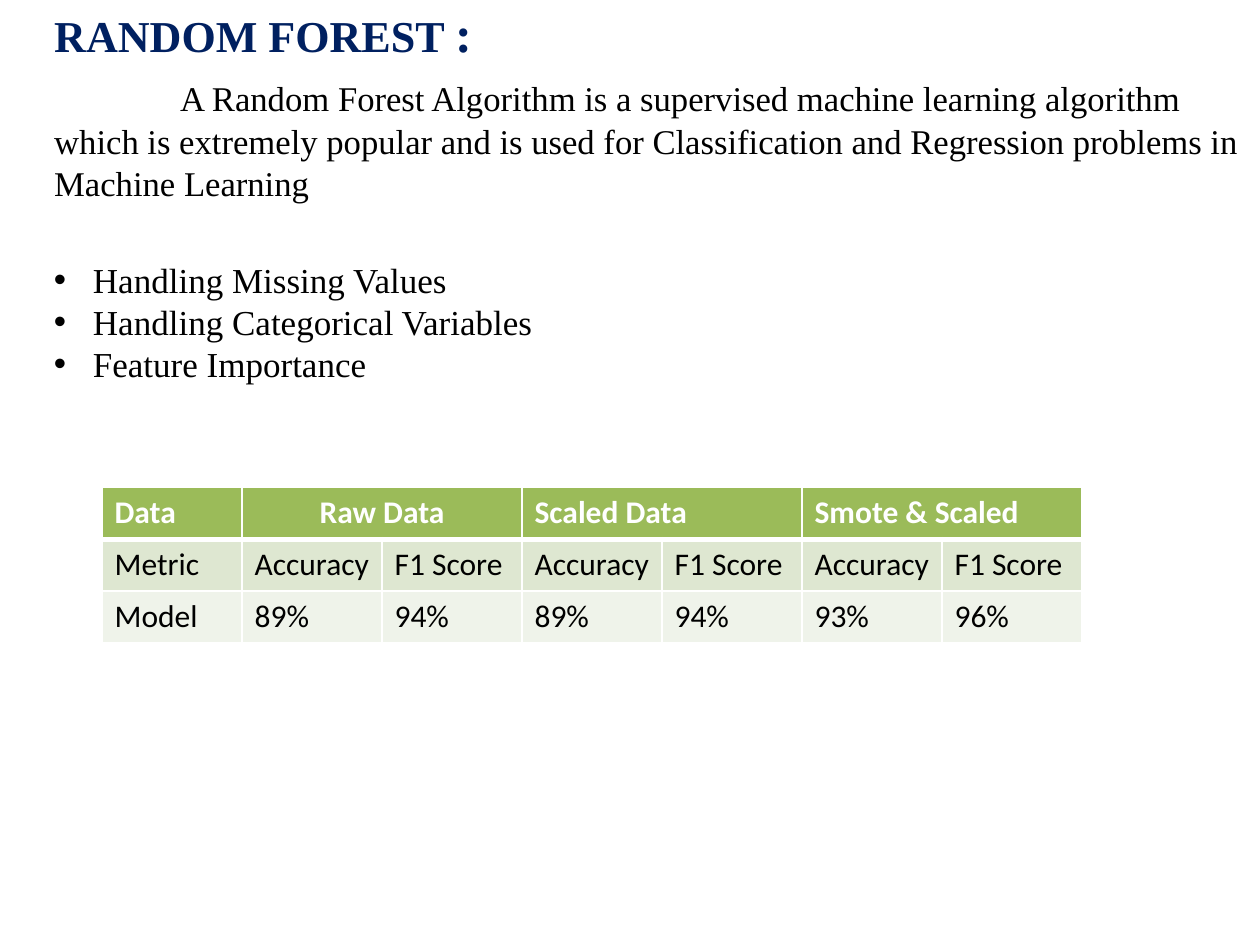
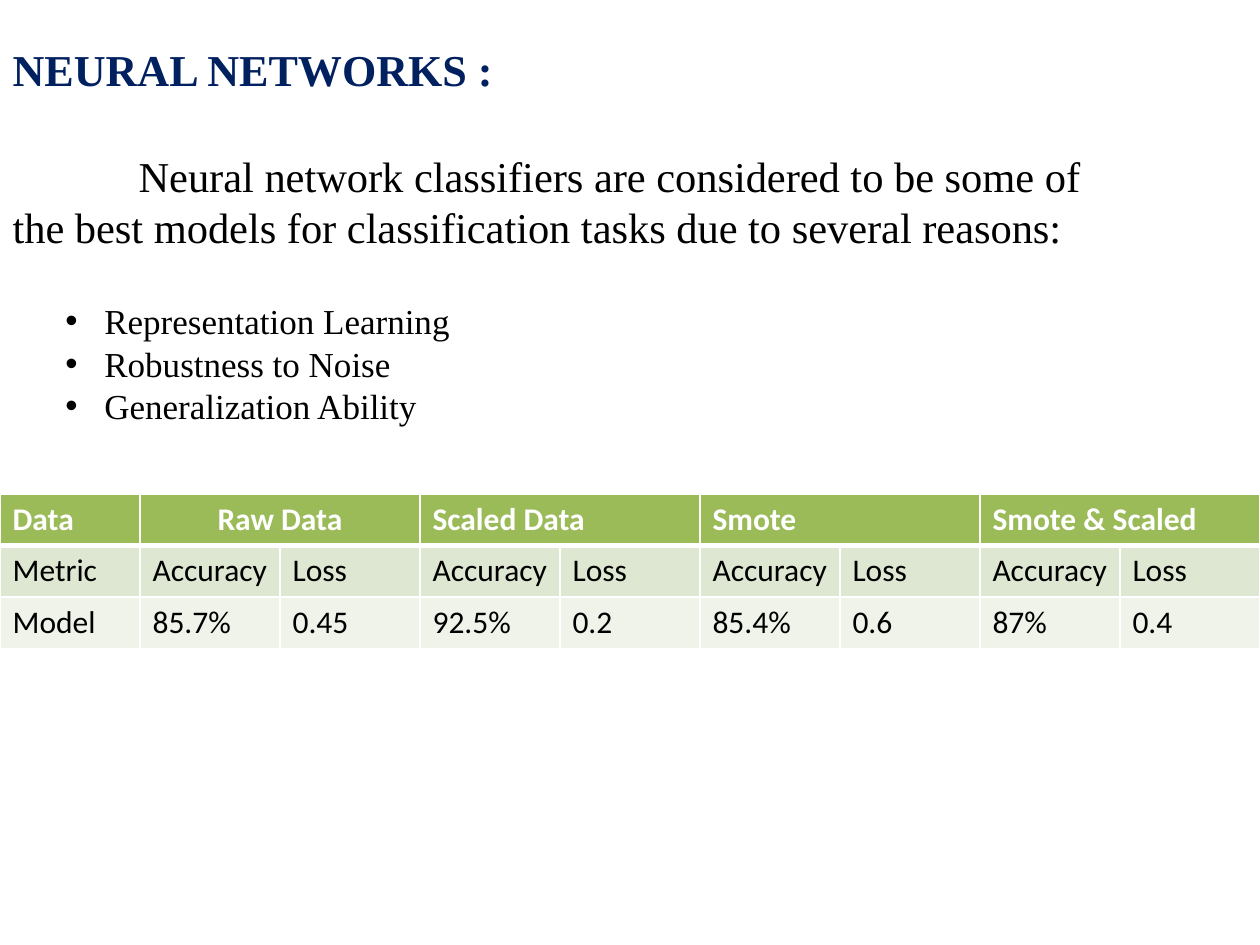
from dataclasses import dataclass

from lxml import etree
from pptx import Presentation
from pptx.dml.color import RGBColor
from pptx.enum.text import MSO_ANCHOR, MSO_AUTO_SIZE, PP_ALIGN
from pptx.oxml.ns import qn
from pptx.util import Inches, Pt

LEFT, CENTER = PP_ALIGN.LEFT, PP_ALIGN.CENTER
MIDDLE = MSO_ANCHOR.MIDDLE
NO_AUTOFIT = MSO_AUTO_SIZE.NONE

SERIF, SANS = "Times New Roman", "Calibri"
NAVY, BLACK, WHITE = "002060", "000000", "FFFFFF"
HEADER_FILL = "9BBB59"
BODY_FILLS = ("DEE7D1", "EFF3EA")
COL_W = 10 / 9
ROW_H = 0.41
TITLE_ONLY = 5


@dataclass
class Box:
    left: float
    top: float
    width: float
    height: float

    def emu(self) -> tuple:
        return tuple(Inches(v) for v in (self.left, self.top, self.width, self.height))


@dataclass
class Line:
    """A paragraph of the title block, with sizes and spacing in points."""
    text: str
    size: float
    spacing: float
    before: float = 0
    indent: float = 0
    color: str = BLACK
    bold: bool = False


@dataclass
class ModelSlide:
    title_box: Box
    title: list[Line]
    colon_size: float
    bullet_box: Box
    bullets: list[str]
    wrap: bool
    table_left: float
    table_top: float
    datasets: list[str]
    metrics: list[str]
    values: list[str]


MODELS = [
    ModelSlide(
        title_box=Box(0.33, 0, 9.65, 1.67),
        title=[
            Line("RANDOM FOREST ", 25.2, 32, color=NAVY, bold=True),
            Line("A Random Forest Algorithm is a supervised machine learning algorithm "
                 "which is extremely popular and is used for Classification and "
                 "Regression problems in Machine Learning", 19.8, 24.4, before=7.4, indent=1),
        ],
        colon_size=28.8,
        bullet_box=Box(0.33, 2, 4.03, 1.11),
        bullets=["Handling Missing Values", "Handling Categorical Variables",
                 "Feature Importance"],
        wrap=False,
        table_left=0.81,
        table_top=3.87,
        datasets=["Raw Data", "Scaled Data", "Smote & Scaled"],
        metrics=["Accuracy", "F1 Score"],
        values=["89%", "94%", "89%", "94%", "93%", "96%"],
    ),
    ModelSlide(
        title_box=Box(0, 0.29, 9, 1.76),
        title=[
            Line("NEURAL NETWORKS ", 25.2, 30, color=NAVY, bold=True),
            Line("Neural network classifiers are considered to be some of the best "
                 "models for classification tasks due to several reasons:",
                 24.3, 29.1, before=31, indent=1),
        ],
        colon_size=25.2,
        bullet_box=Box(0.42, 2.33, 5.17, 1.11),
        bullets=["Representation Learning", "Robustness to Noise",
                 "Generalization Ability"],
        wrap=True,
        table_left=0,
        table_top=3.92,
        datasets=["Raw Data", "Scaled Data", "Smote", "Smote & Scaled"],
        metrics=["Accuracy", "Loss"],
        values=["85.7%", "0.45", "92.5%", "0.2", "85.4%", "0.6", "87%", "0.4"],
    ),
]


def rgb(color: str) -> RGBColor:
    return RGBColor.from_string(color)


def add_text(p, text: str, *, size: float, font: str = SERIF, color: str = BLACK,
             bold: bool = False, align=LEFT) -> None:
    p.alignment = align
    r = p.add_run()
    r.text = text
    r.font.name, r.font.size, r.font.bold = font, Pt(size), bold
    r.font.color.rgb = rgb(color)


def paragraph(tf, index: int):
    return tf.paragraphs[0] if index == 0 else tf.add_paragraph()


def add_title(slide, model: ModelSlide) -> None:
    sp = slide.shapes.title
    sp.left, sp.top, sp.width, sp.height = model.title_box.emu()
    tf = sp.text_frame
    tf.word_wrap = True
    tf.auto_size = NO_AUTOFIT
    tf.vertical_anchor = MIDDLE
    for i, line in enumerate(model.title):
        p = paragraph(tf, i)
        p.line_spacing, p.space_before = Pt(line.spacing), Pt(line.before)
        p._p.get_or_add_pPr().set("indent", str(Inches(line.indent)))
        add_text(p, line.text, size=line.size, color=line.color, bold=line.bold)
    add_text(tf.paragraphs[0], ":", size=model.colon_size, color=NAVY, bold=True)


def add_bullets(slide, model: ModelSlide) -> None:
    tf = slide.shapes.add_textbox(*model.bullet_box.emu()).text_frame
    tf.word_wrap = model.wrap
    for i, text in enumerate(model.bullets):
        p = paragraph(tf, i)
        p.line_spacing = Pt(24.1)
        add_text(p, text, size=20)
        pPr = p._p.get_or_add_pPr()
        pPr.set("marL", str(Inches(0.31)))
        pPr.set("indent", str(Inches(-0.31)))
        etree.SubElement(pPr, qn("a:buFont"), typeface="Arial")
        etree.SubElement(pPr, qn("a:buChar"), char="•")


def set_borders(cell, bottom: float) -> None:
    """Draw white cell borders; bottom is the width of the lower one in points."""
    tcPr = cell._tc.get_or_add_tcPr()
    widths = {"a:lnL": 1, "a:lnR": 1, "a:lnT": 1, "a:lnB": bottom}
    for i, (tag, width) in enumerate(widths.items()):
        ln = etree.Element(qn(tag), w=str(Pt(width)))
        fill = etree.SubElement(ln, qn("a:solidFill"))
        etree.SubElement(fill, qn("a:srgbClr"), val=WHITE)
        tcPr.insert(i, ln)


def add_results(slide, model: ModelSlide) -> None:
    span = len(model.metrics)
    header = ["Data"]
    for name in model.datasets:
        header += [name] + [""] * (span - 1)
    rows = [header, ["Metric"] + model.metrics * len(model.datasets),
            ["Model"] + model.values]
    box = Box(model.table_left, model.table_top, COL_W * len(header), ROW_H * len(rows))
    table = slide.shapes.add_table(len(rows), len(header), *box.emu()).table
    for column in table.columns:
        column.width = Inches(COL_W)
    for y, (texts, fill) in enumerate(zip(rows, (HEADER_FILL, *BODY_FILLS))):
        table.rows[y].height = Inches(ROW_H)
        is_header = y == 0
        for x, text in enumerate(texts):
            cell = table.cell(y, x)
            cell.fill.solid()
            cell.fill.fore_color.rgb = rgb(fill)
            # The header is set off from the body by a thicker rule.
            set_borders(cell, bottom=3 if is_header else 1)
            if text:
                add_text(cell.text_frame.paragraphs[0], text, size=18, font=SANS,
                         color=WHITE if is_header else BLACK, bold=is_header,
                         align=CENTER if is_header and x == 1 else LEFT)
    for x in range(1, len(header), span):
        table.cell(0, x).merge(table.cell(0, x + span - 1))


def main() -> None:
    prs = Presentation()
    prs.slide_width, prs.slide_height = Inches(10), Inches(7.5)
    for model in MODELS:
        slide = prs.slides.add_slide(prs.slide_layouts[TITLE_ONLY])
        add_title(slide, model)
        add_bullets(slide, model)
        add_results(slide, model)
    prs.save("out.pptx")


if __name__ == "__main__":
    main()
